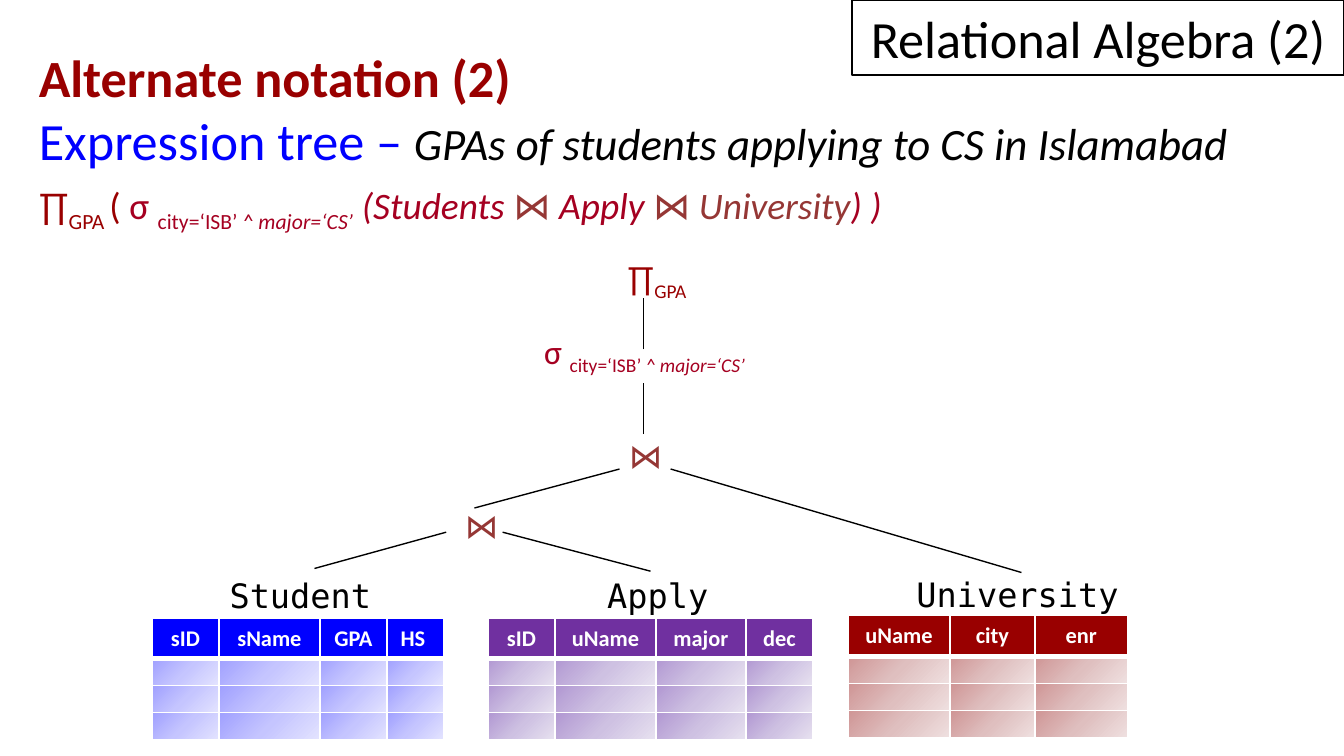
from dataclasses import dataclass

from lxml.etree import SubElement
from pptx import Presentation
from pptx.dml.color import RGBColor
from pptx.enum.shapes import MSO_CONNECTOR as Connector, MSO_SHAPE as Shape
from pptx.enum.text import MSO_ANCHOR as Anchor, MSO_AUTO_SIZE as AutoSize, PP_ALIGN as Align
from pptx.oxml.ns import qn
from pptx.util import Inches, Pt


@dataclass(frozen=True)
class Theme:
    font: str = "Calibri"
    mono: str = "DejaVu Sans Mono"
    black: str = "000000"
    white: str = "FFFFFF"
    blue: str = "0000FF"
    purple: str = "7030A0"
    red: str = "990000"
    crimson: str = "A50021"
    brown: str = "953735"
    title: int = 28
    example: int = 24
    formula: int = 20
    node: int = 18
    header: int = 12
    empty_cell: int = 6
    hairline: float = 0.75


THEME = Theme()
HEADER_HEIGHT, ROW_HEIGHT, EMPTY_ROWS = 0.3, 0.2, 3

# Relations: name, name position, table position, columns, widths, colour, gradient
RELATIONS = [
    ("University", (6.72, 4.22, 1.73), (6.31, 4.58), ["uName", "city", "enr"],
     [0.76, 0.63, 0.69], THEME.red, ["CF9595", "DFBFBF", "EFE0E0"]),
    ("Student", (1.61, 4.23, 1.27), (1.13, 4.6), ["sID", "sName", "GPA", "HS"],
     [0.5, 0.75, 0.5, 0.42], THEME.blue, ["A0A0FF", "C5C5FF", "E3E3FF"]),
    ("Apply", (4.42, 4.23, 0.96), (3.63, 4.6), ["sID", "uName", "major", "dec"],
     [0.5, 0.75, 0.67, 0.5], THEME.purple, ["B197D2", "CEC1E2", "E7E1F0"]),
]

BRANCHES = [
    (2.34, 4.23, 3.32, 3.96), (3.74, 3.96, 4.84, 4.25),
    (3.53, 3.78, 4.61, 3.49), (4.99, 3.49, 7.6, 4.26),
    (4.79, 3.23, 4.79, 2.85), (4.79, 2.6, 4.79, 2.22),
]


def add_run(paragraph, text, color, size, font=THEME.font, sub=False, **styles):
    run = paragraph.add_run()
    run.text = text
    formats = {"name": font, "size": Pt(size), **styles}
    for name, value in formats.items():
        setattr(run.font, name, value)
    run.font.color.rgb = RGBColor.from_string(color)
    if sub:
        run._r.get_or_add_rPr().set("baseline", "-25000")


def add_runs(paragraph, size, runs):
    for text, color, styles in runs:
        add_run(paragraph, text, color, size, **styles)


def add_text_box(slide, left, top, width, height=0.4, wrap=True, grow=True):
    box = slide.shapes.add_textbox(Inches(left), Inches(top), Inches(width), Inches(height))
    box.text_frame.word_wrap = wrap
    box.text_frame.auto_size = AutoSize.SHAPE_TO_FIT_TEXT if grow else AutoSize.NONE
    return box.text_frame


def selection_runs():
    """The sigma operator with its condition."""
    return [("σ ", THEME.crimson, {}),
            ("city=‘ISB’", THEME.crimson, {"sub": True}),
            (" ^ major=‘CS’", THEME.crimson, {"sub": True, "italic": True})]


def add_explanation(slide):
    slanted = {"italic": True}
    formula = [("∏", THEME.red, {}), ("GPA ", THEME.red, {"sub": True}), ("( ", THEME.red, {}),
               *selection_runs(),
               (" (Students ", THEME.crimson, slanted), ("⋈", THEME.brown, {}),
               (" Apply ", THEME.crimson, slanted), ("⋈ ", THEME.brown, {}),
               ("University", THEME.brown, slanted), (") )", THEME.crimson, slanted)]
    frame = add_text_box(slide, 0.09, 0.29, 9.28, 4.02, grow=False)
    heading = frame.paragraphs[0]
    example, expression = frame.add_paragraph(), frame.add_paragraph()
    add_run(heading, "Alternate notation (2)", THEME.red, THEME.title, bold=True)
    add_run(example, "Expression tree – ", THEME.blue, THEME.title)
    add_run(example, "GPAs of students applying to CS in Islamabad",
            THEME.black, THEME.example, italic=True)
    add_runs(expression, THEME.formula, formula)
    for paragraph in (heading, example, expression):
        properties = paragraph._p.get_or_add_pPr()
        properties.set("marL", str(Inches(0.66)))
        properties.set("indent", str(Inches(-0.56)))
    for paragraph in (example, expression):
        paragraph.space_after = Pt(6)


def add_title(slide):
    shape = slide.shapes.add_shape(Shape.RECTANGLE, Inches(6.34), 0, Inches(3.66), Inches(0.56))
    shape.shadow.inherit = False
    shape.fill.background()
    shape.line.color.rgb = RGBColor.from_string(THEME.black)
    shape.line.width = Pt(THEME.hairline)
    shape.text_frame.vertical_anchor = Anchor.BOTTOM
    paragraph = shape.text_frame.paragraphs[0]
    paragraph.alignment = Align.CENTER
    add_run(paragraph, "Relational Algebra (2)", THEME.black, THEME.title)


def add_color(parent, color):
    SubElement(parent, qn("a:srgbClr"), val=color)


def set_borders(cell, top=1, bottom=1):
    properties = cell._tc.get_or_add_tcPr()
    for side, width in {"L": 1, "R": 1, "T": top, "B": bottom}.items():
        line = SubElement(properties, qn(f"a:ln{side}"), w=str(Pt(width)))
        add_color(SubElement(line, qn("a:solidFill")), THEME.white)


def set_gradient(cell, colors):
    gradient = SubElement(cell._tc.get_or_add_tcPr(), qn("a:gradFill"), rotWithShape="1")
    stops = SubElement(gradient, qn("a:gsLst"))
    for position, color in zip((0, 50000, 100000), colors):
        add_color(SubElement(stops, qn("a:gs"), pos=str(position)), color)
    SubElement(gradient, qn("a:lin"), ang="2700000", scaled="0")


def add_relation_table(slide, position, headers, widths, color, gradient):
    left, top = position
    height = HEADER_HEIGHT + EMPTY_ROWS * ROW_HEIGHT
    table = slide.shapes.add_table(EMPTY_ROWS + 1, len(headers), Inches(left), Inches(top),
                                   Inches(sum(widths)), Inches(height)).table
    for column, width in zip(table.columns, widths):
        column.width = Inches(width)
    for index, row in enumerate(table.rows):
        row.height = Inches(ROW_HEIGHT if index else HEADER_HEIGHT)
        for cell, header in zip(row.cells, headers):
            paragraph = cell.text_frame.paragraphs[0]
            if index:
                set_borders(cell, top=3 if index == 1 else 1)
                set_gradient(cell, gradient)
                # An empty paragraph takes its height from its end mark
                SubElement(paragraph._p, qn("a:endParaRPr"), sz=str(THEME.empty_cell * 100))
            else:
                set_borders(cell, bottom=3)
                cell.fill.solid()
                cell.fill.fore_color.rgb = RGBColor.from_string(color)
                paragraph.alignment = Align.LEFT if header == "HS" else Align.CENTER
                add_run(paragraph, header, THEME.white, THEME.header, bold=True)


def add_branch(slide, *ends):
    branch = slide.shapes.add_connector(Connector.STRAIGHT, *map(Inches, ends))
    branch.line.color.rgb = RGBColor.from_string(THEME.black)
    branch.line.width = Pt(THEME.hairline)
    SubElement(branch._element.spPr, qn("a:effectLst"))


def add_node(slide, left, top, width, runs):
    frame = add_text_box(slide, left, top, width)
    add_runs(frame.paragraphs[0], THEME.node, runs)


def main():
    # Widescreen slide, 16:9
    presentation = Presentation()
    presentation.slide_width = Inches(10)
    presentation.slide_height = Inches(10) * 9 // 16
    slide = presentation.slides.add_slide(presentation.slide_layouts[6])

    # Explanation and title
    add_explanation(slide)
    add_title(slide)

    # Relations at the leaves
    for name, label, position, headers, widths, color, gradient in RELATIONS:
        add_relation_table(slide, position, headers, widths, color, gradient)
        frame = add_text_box(slide, *label, wrap=False)
        add_run(frame.paragraphs[0], name, THEME.black, THEME.node, font=THEME.mono)

    # Tree branches and operators
    for ends in BRANCHES:
        add_branch(slide, *ends)
    for left, top in ((3.36, 3.71), (4.58, 3.19)):
        add_node(slide, left, top, 0.42, [("⋈", THEME.brown, {})])
    add_node(slide, 3.95, 2.41, 1.89, selection_runs())
    add_node(slide, 4.57, 1.86, 0.82, [("∏", THEME.red, {}), ("GPA", THEME.red, {"sub": True})])

    presentation.save("out.pptx")


if __name__ == "__main__":
    main()
